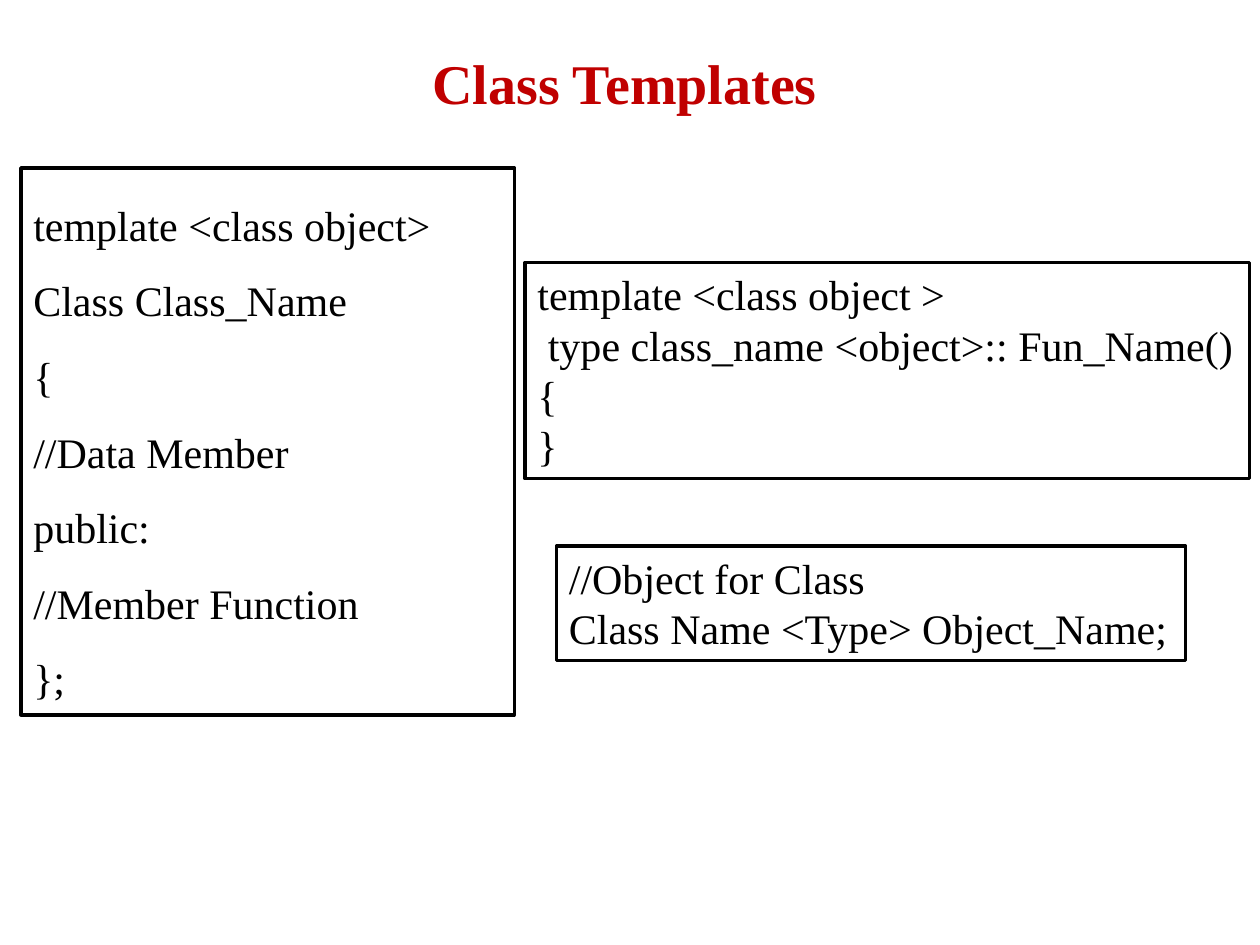
from dataclasses import dataclass

from pptx import Presentation, util as u
from pptx.dml.color import RGBColor
from pptx.enum import shapes, text


@dataclass(frozen=True)
class Theme:
    font: str = "Times New Roman"
    title_size: int = 32
    code_size: int = 24
    border_width: int = 2
    title: RGBColor = RGBColor(0xC0, 0x00, 0x00)
    ink: RGBColor = RGBColor(0, 0, 0)
    paper: RGBColor = RGBColor(0xFF, 0xFF, 0xFF)


@dataclass(frozen=True)
class CodeBox:
    left: float
    top: float
    width: float
    height: float
    code: str
    spacing: float = 1.0
    wrap: bool = True


THEME = Theme()
GRID = 12
CODE_BOXES = (
    CodeBox(2, 16, 47, 52.08,
            "template <class object>\nClass Class_Name\n{\n//Data Member\n"
            "public:\n//Member Function\n};", spacing=1.5),
    CodeBox(53, 52, 59.9, 10.9,
            "//Object for Class\nClass Name <Type> Object_Name;", wrap=False),
    CodeBox(50, 25, 69, 20.6,
            "template <class object >\n type class_name <object>:: Fun_Name()\n{\n}"),
)


def grid(cells: float) -> int:
    """Convert grid cells, twelve to the inch, to a slide length."""
    return u.Inches(cells / GRID)


def write(shape, content: str, size: int, color: RGBColor,
          spacing: float = 1.0, bold: bool = False, wrap: bool = True) -> None:
    """Fill a shape with left-aligned, top-anchored text."""
    frame = shape.text_frame
    frame.text = content
    frame.word_wrap = wrap
    frame.auto_size = text.MSO_AUTO_SIZE.SHAPE_TO_FIT_TEXT
    frame.vertical_anchor = text.MSO_ANCHOR.TOP
    for paragraph in frame.paragraphs:
        paragraph.alignment = text.PP_ALIGN.LEFT
        paragraph.line_spacing = spacing
        for run in paragraph.runs:
            run.font.name = THEME.font
            run.font.size = u.Pt(size)
            run.font.bold = bold
            run.font.color.rgb = color


def draw_title(slide, content: str) -> None:
    """Draw the slide heading."""
    shape = slide.shapes.add_textbox(grid(40), grid(4), grid(39.36), grid(7.68))
    write(shape, content, THEME.title_size, THEME.title, bold=True, wrap=False)


def draw_code_box(slide, box: CodeBox) -> None:
    """Draw one bordered block of code."""
    shape = slide.shapes.add_shape(
        shapes.MSO_SHAPE.RECTANGLE,
        grid(box.left), grid(box.top), grid(box.width), grid(box.height))
    shape.shadow.inherit = False
    shape.fill.solid()
    shape.fill.fore_color.rgb = THEME.paper
    shape.line.color.rgb = THEME.ink
    shape.line.width = u.Pt(THEME.border_width)
    write(shape, box.code, THEME.code_size, THEME.ink, box.spacing, wrap=box.wrap)


def main() -> None:
    """Build and save the slide."""
    presentation = Presentation()
    presentation.slide_width = u.Inches(10)
    presentation.slide_height = u.Inches(7.5)
    slide = presentation.slides.add_slide(presentation.slide_layouts[6])
    draw_title(slide, "Class Templates")
    for box in CODE_BOXES:
        draw_code_box(slide, box)
    presentation.save("out.pptx")


main()
